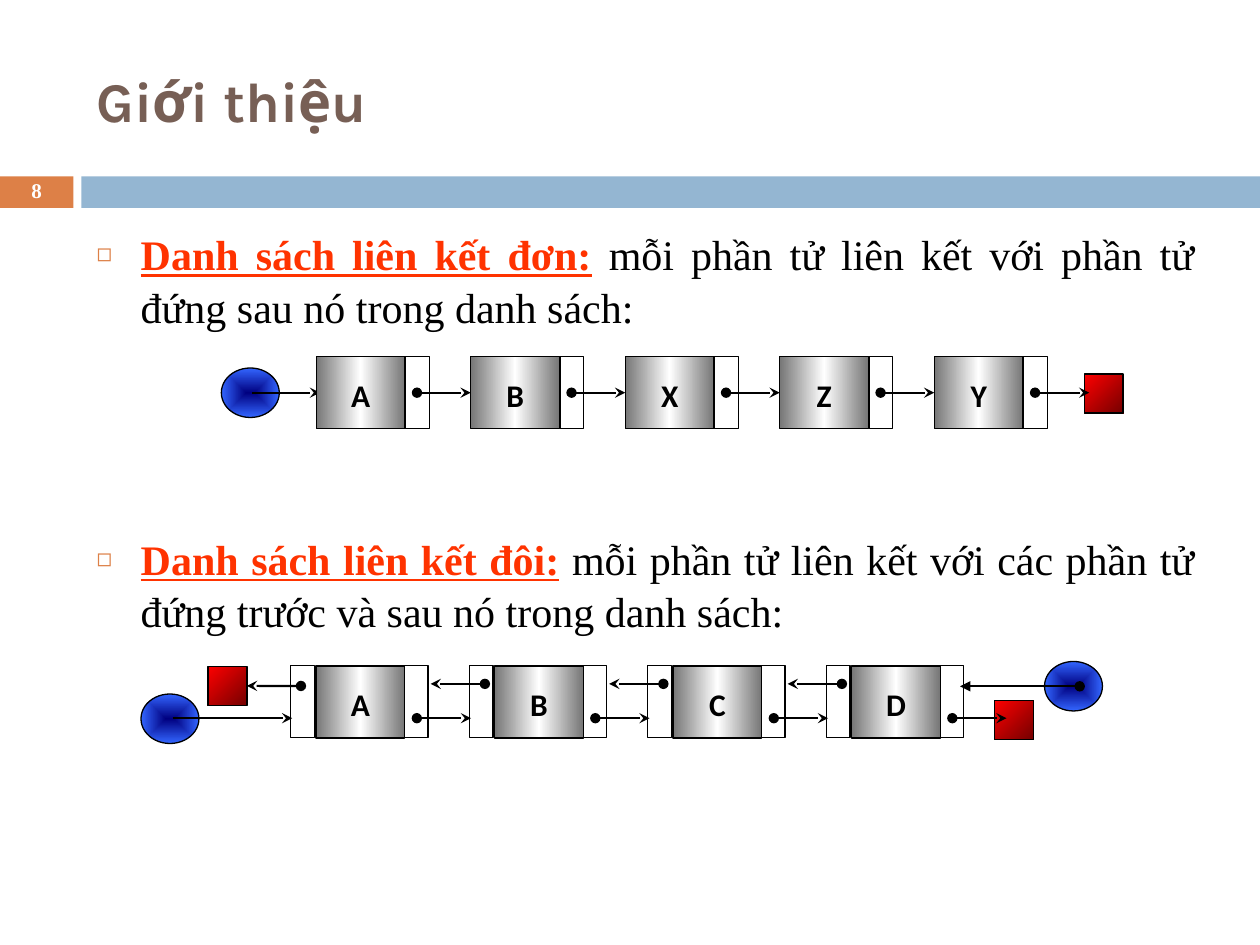
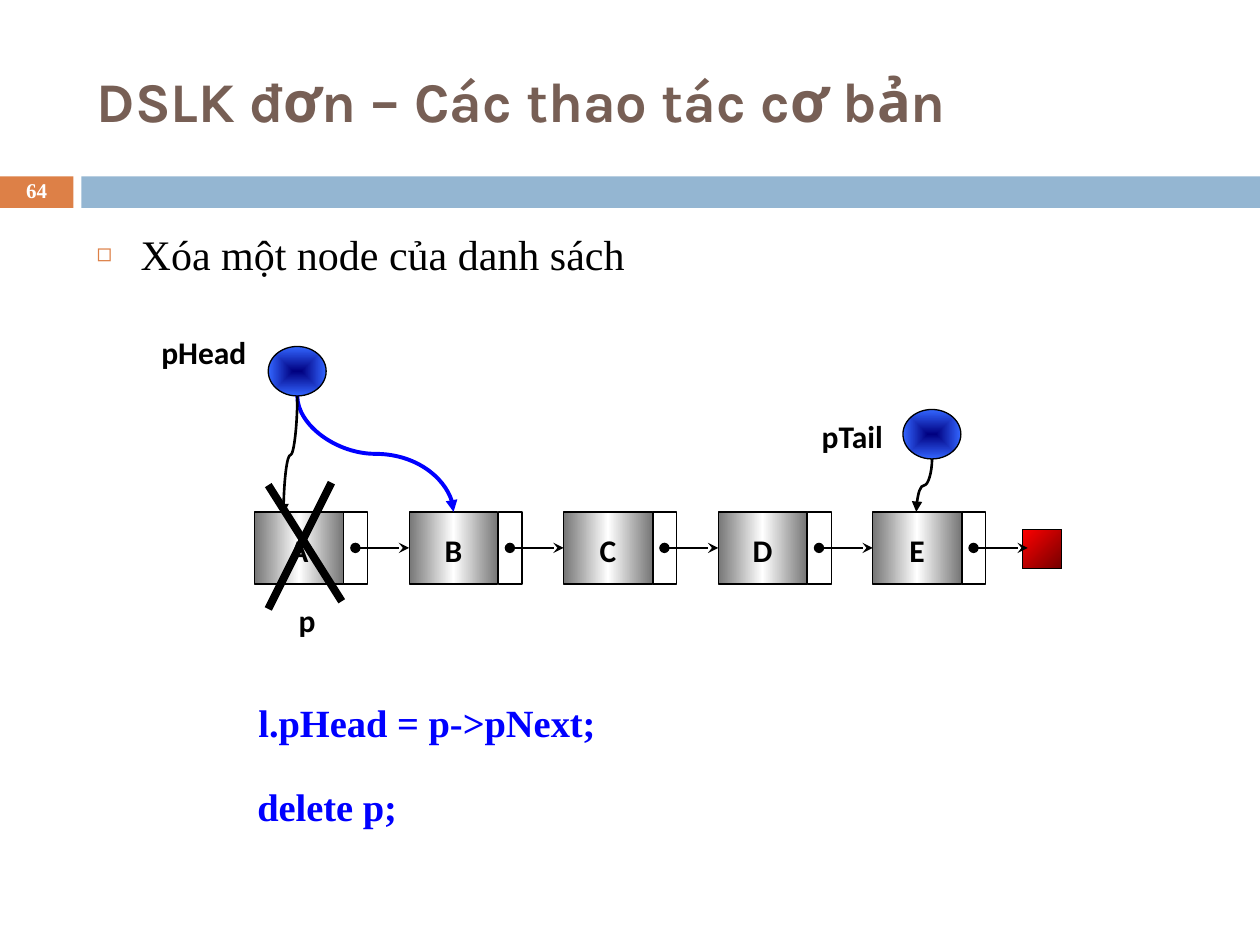
from dataclasses import dataclass

from lxml import etree
from pptx import Presentation
from pptx.dml.color import RGBColor
from pptx.enum.shapes import MSO_CONNECTOR, MSO_SHAPE
from pptx.enum.text import MSO_ANCHOR, MSO_AUTO_SIZE, PP_ALIGN
from pptx.oxml.ns import qn
from pptx.util import Pt

RECTANGLE, OVAL = MSO_SHAPE.RECTANGLE, MSO_SHAPE.OVAL
STRAIGHT, CURVE = MSO_CONNECTOR.STRAIGHT, MSO_CONNECTOR.CURVE
LEFT, CENTER, RIGHT, JUSTIFY = PP_ALIGN.LEFT, PP_ALIGN.CENTER, PP_ALIGN.RIGHT, PP_ALIGN.JUSTIFY
TOP, MIDDLE = MSO_ANCHOR.TOP, MSO_ANCHOR.MIDDLE
NO_FIT, GROW = MSO_AUTO_SIZE.NONE, MSO_AUTO_SIZE.SHAPE_TO_FIT_TEXT
LEFT_SIDE, RIGHT_SIDE = 1, 3

BLACK = RGBColor(0x00, 0x00, 0x00)
WHITE = RGBColor(0xFF, 0xFF, 0xFF)
BROWN = RGBColor(0x77, 0x5F, 0x55)
ORANGE = RGBColor(0xDD, 0x80, 0x47)
SKY = RGBColor(0x94, 0xB6, 0xD2)
TERM_RED = RGBColor(0xFF, 0x33, 0x00)
BLUE = RGBColor(0x00, 0x00, 0xFF)
NAVY = RGBColor(0x00, 0x00, 0x80)
POINTER_BLUE = RGBColor(0x33, 0x66, 0xFF)
RED = RGBColor(0xFF, 0x00, 0x00)
DARK_RED = RGBColor(0x76, 0x00, 0x00)
GREY = RGBColor(0x76, 0x76, 0x76)

SERIF, SANS, TITLE_FONT = "Times New Roman", "Calibri", "Karla"


@dataclass(frozen=True)
class Box:
    left: float
    top: float
    width: float
    height: float


@dataclass(frozen=True)
class Gradient:
    """Evenly spaced colours; without an angle they spread from the centre."""
    colors: tuple
    angle: int | None = None


@dataclass(frozen=True)
class Span:
    text: str
    bold: bool = False
    underline: bool = False
    color: RGBColor = BLACK


@dataclass(frozen=True)
class Item:
    spans: tuple
    align: PP_ALIGN = LEFT
    space_before: float = 0


STEEL = Gradient((GREY, WHITE, GREY), 0)
RUBY = Gradient((RED, DARK_RED), 45)
SAPPHIRE = Gradient((NAVY, POINTER_BLUE))

TITLE_BOX = Box(48, 18, 642, 78)
BODY_BOX = Box(48, 126, 642, 354)
NUMBER_BOX = Box(0, 100, 42, 19.5)
BANDS = ((Box(0, 100.8, 42, 18), ORANGE), (Box(46.5, 100.8, 673.5, 18), SKY))

# Node measures; offsets are taken from the node's left edge
NODE_WIDTH, NODE_HEIGHT = 50.7, 41.2
POCKET_WIDTH = 13.6
NEXT_POCKET, PREVIOUS_POCKET = 51, -14.4
NEXT_DOT, PREVIOUS_DOT = 57.6, -5.5
LINK_LENGTH = 31
SINGLE_PITCH, DOUBLE_PITCH = 88.3, 102


# Text
def write(frame, spans, para=None, *, size, font, align=LEFT, line_spacing=None,
          anchor=TOP, fit=NO_FIT, wrap=True, insets=None):
    frame.auto_size, frame.word_wrap, frame.vertical_anchor = fit, wrap, anchor
    if insets:
        (frame.margin_left, frame.margin_top,
         frame.margin_right, frame.margin_bottom) = map(Pt, insets)
    para = para or frame.paragraphs[0]
    para.alignment = align
    if line_spacing:
        para.line_spacing = line_spacing
    for span in spans:
        run = para.add_run()
        run.text = span.text
        run.font.size, run.font.name = Pt(size), font
        run.font.bold, run.font.underline = span.bold, span.underline
        run.font.color.rgb = span.color


def add_text(slide, box: Box, text: str, *, color=BLACK, **text_format):
    label = slide.shapes.add_textbox(*place(box))
    write(label.text_frame, [Span(text, True, color=color)], **text_format)
    return label


def add_label(slide, box: Box, text: str):
    return add_text(slide, box, text, size=18, font=SANS, align=CENTER,
                    anchor=MIDDLE, insets=(0, 0, 0, 0))


def set_bullet(para) -> None:
    properties = para._p.get_or_add_pPr()
    properties.set("marL", str(Pt(25.2)))
    properties.set("indent", str(-Pt(25.2)))
    color = etree.SubElement(properties, qn("a:buClr"))
    etree.SubElement(color, qn("a:srgbClr"), val=str(ORANGE))
    etree.SubElement(properties, qn("a:buSzPct"), val="60000")
    etree.SubElement(properties, qn("a:buChar"), char="◻")


# Shapes and lines
def place(box: Box) -> tuple:
    return Pt(box.left), Pt(box.top), Pt(box.width), Pt(box.height)


def fill_gradient(shape, gradient: Gradient) -> None:
    shape.fill.background()
    properties = shape.element.spPr
    fill = etree.Element(qn("a:gradFill"), rotWithShape="1")
    stops = etree.SubElement(fill, qn("a:gsLst"))
    for index, color in enumerate(gradient.colors):
        position = index * 100000 // (len(gradient.colors) - 1)
        stop = etree.SubElement(stops, qn("a:gs"), pos=str(position))
        etree.SubElement(stop, qn("a:srgbClr"), val=str(color))
    if gradient.angle is None:
        path = etree.SubElement(fill, qn("a:path"))
        path.set("path", "shape")
        etree.SubElement(path, qn("a:fillToRect"), l="50000", t="50000", r="50000", b="50000")
    else:
        etree.SubElement(fill, qn("a:lin"), ang=str(gradient.angle * 60000), scaled="1")
    properties.replace(properties.find(qn("a:noFill")), fill)


def add_shape(slide, kind, box: Box, fill=None, outlined=True):
    shape = slide.shapes.add_shape(kind, *place(box))
    shape.shadow.inherit = False
    if isinstance(fill, Gradient):
        fill_gradient(shape, fill)
    elif fill is None:
        shape.fill.background()
    else:
        shape.fill.solid()
        shape.fill.fore_color.rgb = fill
    if outlined:
        shape.line.color.rgb, shape.line.width = BLACK, Pt(0.75)
    else:
        shape.line.fill.background()
    return shape


def add_line(slide, start, end, *, kind=STRAIGHT, color=BLACK, width=1.25, head=None, tail=None):
    line = slide.shapes.add_connector(kind, *map(Pt, (*start, *end)))
    line.line.color.rgb, line.line.width = color, Pt(width)
    outline = line.line._get_or_add_ln()
    for tag, arrow in (("a:headEnd", head), ("a:tailEnd", tail)):
        if arrow:
            etree.SubElement(outline, qn(tag), type=arrow)
    etree.SubElement(line.element.spPr, qn("a:effectLst"))
    return line


def add_link(slide, start, length=LINK_LENGTH, head="oval", tail="stealth"):
    x, y = start
    return add_line(slide, start, (x + length, y), head=head, tail=tail)


def add_drop_curve(slide, start, end, *, color=BLACK, width=1.5):
    """S-curve that leaves and arrives vertically: a turned curved connector."""
    (x1, y1), (x2, y2) = start, end
    middle_x, middle_y = (x1 + x2) / 2, (y1 + y2) / 2
    near, far = middle_x - (y2 - y1) / 2, middle_x + (y2 - y1) / 2
    top, bottom = middle_y - abs(x2 - x1) / 2, middle_y + abs(x2 - x1) / 2
    to_right = x2 > x1
    if to_right:
        near, far = far, near
    curve = add_line(slide, (near, top), (far, bottom), kind=CURVE,
                     color=color, width=width, tail="triangle")
    turn = 270 if to_right else 90
    curve.element.spPr.find(qn("a:xfrm")).set("rot", str(turn * 60000))


# List parts
def add_node(slide, x: float, y: float, name: str):
    node = add_shape(slide, RECTANGLE, Box(x, y, NODE_WIDTH, NODE_HEIGHT), STEEL)
    write(node.text_frame, [Span(name, True)], size=18, font=SANS, align=CENTER,
          anchor=MIDDLE, insets=(0, 2.2, 0, 0))
    return node


def add_pocket(slide, x: float, y: float, fill=None):
    return add_shape(slide, RECTANGLE, Box(x, y, POCKET_WIDTH, NODE_HEIGHT), fill)


def add_pointer(slide, x: float, y: float):
    return add_shape(slide, OVAL, Box(x, y, 33.1, 28.3), SAPPHIRE)


def add_nil(slide, x: float, y: float):
    return add_shape(slide, RECTANGLE, Box(x, y, 22.3, 22.3), RUBY)


def add_single_list(slide, names: str, x: float, y: float) -> None:
    lefts = [x + index * SINGLE_PITCH for index in range(len(names))]
    for left in lefts:
        add_pocket(slide, left + NEXT_POCKET, y, WHITE)
    add_nil(slide, lefts[-1] + 85.6, y + 10)
    nodes = [add_node(slide, left, y, name) for left, name in zip(lefts, names)]
    for index, left in enumerate(lefts):
        link = add_link(slide, (left + NEXT_DOT, y + NODE_HEIGHT / 2))
        if index + 1 < len(nodes):
            link.end_connect(nodes[index + 1], LEFT_SIDE)


def add_double_list(slide, names: str, x: float, y: float) -> None:
    next_y, previous_y = y + 30.2, y + 10.6
    add_pointer(slide, x - 100, y + 16.4)
    add_link(slide, (x - 82, next_y), 68.4, head=None)
    add_nil(slide, x + 387.5, y + 20)
    first_nil = add_nil(slide, x - 61.8, y + 0.6)
    for index, name in enumerate(names):
        left = x + index * DOUBLE_PITCH
        for offset in (PREVIOUS_POCKET, NEXT_POCKET - 0.6):
            add_pocket(slide, left + offset, y)
        add_node(slide, left, y + 0.3, name)
        add_link(slide, (left + NEXT_DOT, next_y))
        if index:
            add_link(slide, (left + PREVIOUS_DOT, previous_y), -LINK_LENGTH)
    add_link(slide, (x - 8.6, y + 11.8), -LINK_LENGTH).end_connect(first_nil, RIGHT_SIDE)
    add_pointer(slide, x + 416.3, y - 2.2)
    add_link(slide, (x + 436.4, y + 12), -68.4, tail="triangle")


# Shared frame
def prepare_layout(deck):
    layout = deck.slide_layouts[1]
    for holder, box in zip(layout.placeholders, (TITLE_BOX, BODY_BOX)):
        holder.left, holder.top, holder.width, holder.height = place(box)
    return layout


def add_page(deck, layout, number: int, title: str, items):
    page = deck.slides.add_slide(layout)
    for box, color in BANDS:
        add_shape(page, RECTANGLE, box, color, outlined=False)
    write(page.shapes.title.text_frame, [Span(title, True, color=BROWN)],
          size=32, font=TITLE_FONT, anchor=MIDDLE)
    frame = page.placeholders[1].text_frame
    for index, item in enumerate(items):
        para = frame.add_paragraph() if index else frame.paragraphs[0]
        set_bullet(para)
        para.space_before = Pt(item.space_before)
        write(frame, item.spans, para, size=24, font=SERIF,
              align=item.align, line_spacing=Pt(30))
    add_text(page, NUMBER_BOX, str(number), color=WHITE, size=12, font=SERIF,
             align=CENTER, anchor=MIDDLE, line_spacing=0.8)
    return page


def define(term: str, meaning: str, space_before: float = 0) -> Item:
    return Item((Span(term, True, True, TERM_RED), Span(" " + meaning)), JUSTIFY, space_before)


def build_introduction(deck, layout) -> None:
    page = add_page(deck, layout, 8, "Giới thiệu", [
        define("Danh sách liên kết đơn:",
               "mỗi phần tử liên kết với phần tử đứng sau nó trong danh sách:"),
        define("Danh sách liên kết đôi:",
               "mỗi phần tử liên kết với các phần tử đứng trước và sau nó trong danh sách:", 114),
    ])
    add_pointer(page, 126.5, 210.3)
    add_link(page, (144, 224.4), 38.9, head=None)
    add_single_list(page, "ABXZY", 180.7, 203.8)
    add_double_list(page, "ABCD", 180.6, 380.2)


def build_deletion(deck, layout) -> None:
    page = add_page(deck, layout, 64, "DSLK đơn – Các thao tác cơ bản",
                    [Item((Span("Xóa một node của danh sách"),))])
    add_pointer(page, 153.3, 198)
    add_pointer(page, 516, 234)
    add_single_list(page, "ABCDE", 145.5, 292.5)
    add_label(page, Box(84, 186, 65, 30), "pHead")
    add_label(page, Box(454.5, 234, 65, 30), "pTail")
    add_label(page, Box(156, 342, 39, 24), "p")
    # Pointers moving from node to node
    head_foot = (169.9, 226.2)
    add_drop_curve(page, head_foot, (259.2, 292.5), color=BLUE, width=2.25)
    add_drop_curve(page, (532.6, 262.2), (523.6, 292.5))
    # Node A crossed out
    add_line(page, (153.3, 277.2), (195.3, 343.6), width=4.5)
    add_line(page, (189.4, 275.8), (153.3, 348), width=4.5)
    add_drop_curve(page, head_foot, (162, 293.8))
    for box, code in ((Box(138, 396, 209.5, 34), "l.pHead = p->pNext;"),
                      (Box(138, 444, 96, 34), "delete p;")):
        add_text(page, box, code, color=BLUE, size=22, font=SERIF,
                 align=RIGHT, fit=GROW, wrap=False)


def main() -> None:
    deck = Presentation()
    deck.slide_width, deck.slide_height = Pt(720), Pt(540)
    layout = prepare_layout(deck)
    build_introduction(deck, layout)
    build_deletion(deck, layout)
    deck.save("out.pptx")


if __name__ == "__main__":
    main()
